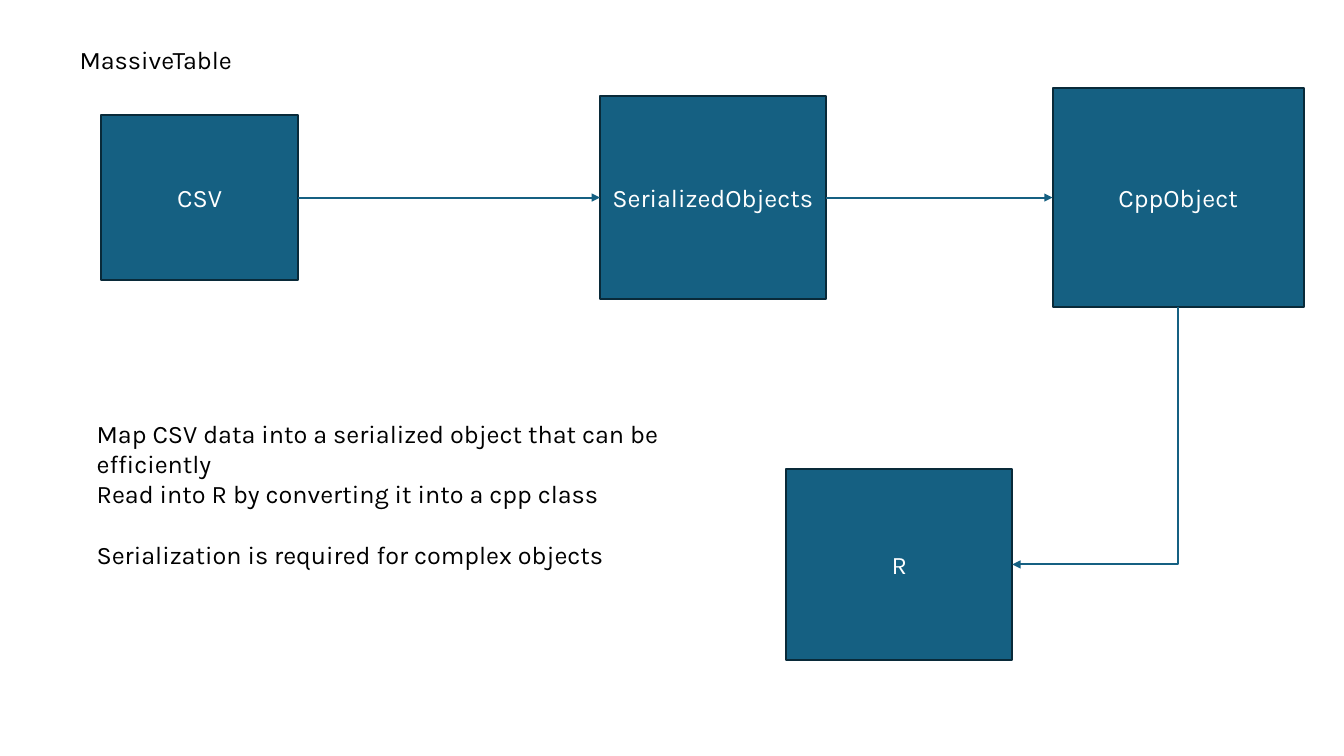
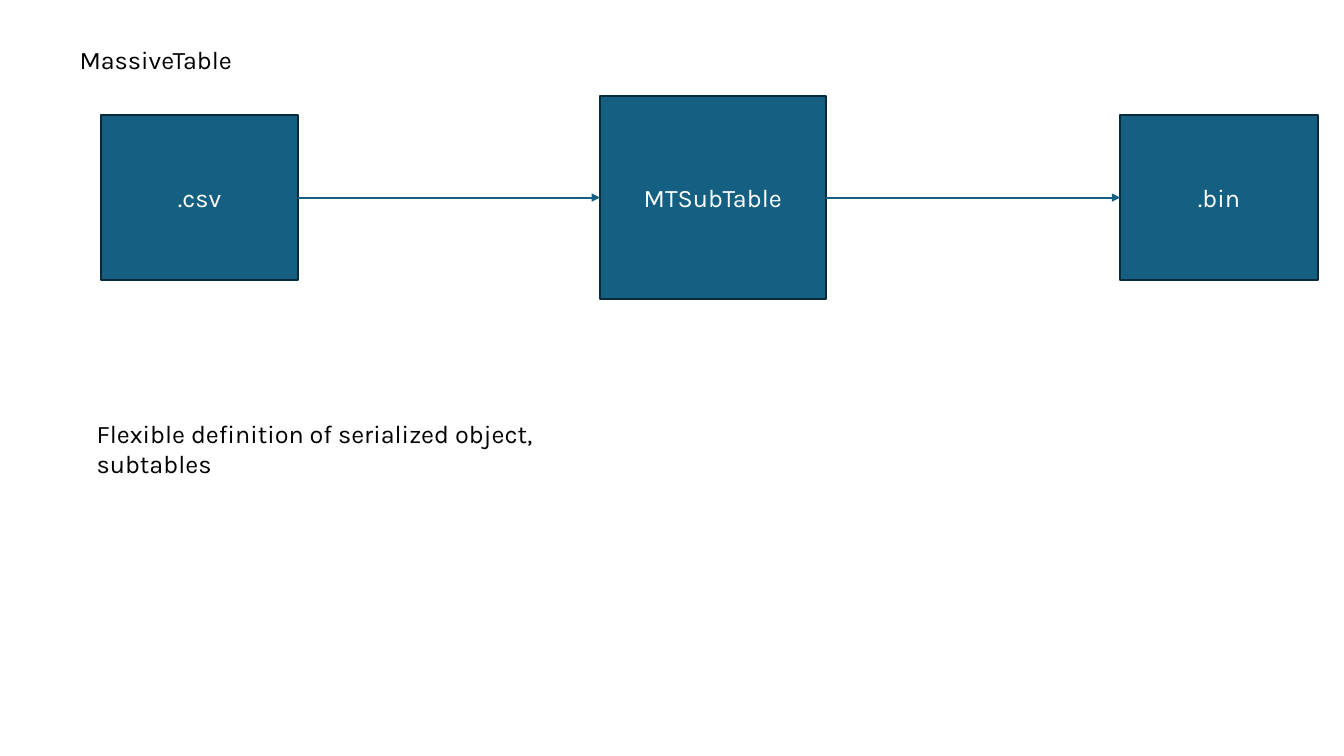
from pptx import Presentation
from pptx.dml.color import RGBColor
from pptx.enum.shapes import MSO_CONNECTOR as Connector, MSO_SHAPE as Preset
from pptx.enum.text import MSO_ANCHOR as Anchor, PP_ALIGN as Align
from pptx.oxml.ns import qn
from pptx.util import Inches, Pt
from lxml.etree import SubElement

BLUE = RGBColor(0x15, 0x60, 0x82)
OUTLINE = RGBColor(0x09, 0x2A, 0x39)
WHITE = RGBColor(0xFF, 0xFF, 0xFF)
BLACK = RGBColor(0x00, 0x00, 0x00)
FONT = "Karla"
LINE_WIDTH = Pt(1.5)
LINE_HEIGHT = Pt(21.6)

FLOW_Y = 1.96
RESULT_Y = 5.6
SMALL = (1.96, 1.63)
MEDIUM = (2.24, 2.01)
LARGE = (2.49, 2.17)
RESULT = (2.24, 1.89)
TOP, LEFT, BOTTOM, RIGHT = range(4)  # connection sites of a rectangle

# Boxes: text, left edge, vertical centre, size
# Arrows: from box, to box; an arrow that changes rows turns a corner
SLIDES = [
    {
        "boxes": [
            ("CSV", 1, FLOW_Y, SMALL),
            ("SerializedObjects", 5.95, FLOW_Y, MEDIUM),
            ("CppObject", 10.44, FLOW_Y, LARGE),
            ("R", 7.8, RESULT_Y, RESULT),
        ],
        "note": [
            "Map CSV data into a serialized object that can be efficiently",
            "Read into R by converting it into a cpp class",
            "Serialization is required for complex objects",
        ],
        "note_size": (6.61, 1.92),
    },
    {
        "boxes": [
            (".csv", 1, FLOW_Y, SMALL),
            ("MTSubTable", 5.95, FLOW_Y, MEDIUM),
            (".bin", 11.11, FLOW_Y, SMALL),
        ],
        "note": ["Flexible definition of serialized object, subtables"],
        "note_size": (5.42, 1.01),
    },
]


def write(shape, lines, color=BLACK, align=Align.LEFT, anchor=Anchor.TOP, last_gap=0):
    """Fill a shape with one paragraph per line; last_gap precedes the third."""
    frame = shape.text_frame
    frame.word_wrap = True
    frame.vertical_anchor = anchor
    frame.text = "\n".join(lines)
    for index, paragraph in enumerate(frame.paragraphs):
        paragraph.alignment = align
        paragraph.space_before = last_gap if index == 2 else 0
        paragraph.font.name = FONT
        paragraph.font.size = Pt(18)
        paragraph.font.color.rgb = color


def connect(slide, start, end):
    """Draw an arrow to the right, or down and then left to a lower box."""
    turns = end.left < start.left
    kind = Connector.ELBOW if turns else Connector.STRAIGHT
    arrow = slide.shapes.add_connector(kind, 0, 0, 0, 0)
    arrow.begin_connect(start, BOTTOM if turns else RIGHT)
    arrow.end_connect(end, RIGHT if turns else LEFT)
    properties = arrow.element.spPr
    if turns:
        # A one-corner connector runs right then down, so turn it by 90 degrees
        run, drop = arrow.width, arrow.height
        center_x, center_y = arrow.left + run // 2, arrow.top + drop // 2
        arrow.left, arrow.top = center_x - drop // 2, center_y - run // 2
        arrow.width, arrow.height = drop, run
        properties.find(qn("a:prstGeom")).set("prst", "bentConnector2")
        transform = properties.find(qn("a:xfrm"))
        transform.set("flipH", "0")
        transform.set("rot", "5400000")
    arrow.line.color.rgb = BLUE
    arrow.line.width = LINE_WIDTH
    SubElement(properties.find(qn("a:ln")), qn("a:tailEnd"), type="triangle")
    SubElement(properties, qn("a:effectLst"))


presentation = Presentation()
presentation.slide_width = Inches(13.33)
presentation.slide_height = Inches(7.5)

for content in SLIDES:
    slide = presentation.slides.add_slide(presentation.slide_layouts[6])

    title = slide.shapes.add_textbox(Inches(0.69), Inches(0.39), Inches(11.89), Inches(0.4))
    write(title, ["MassiveTable"])

    boxes = []
    for text, left, center, (width, height) in content["boxes"]:
        box = slide.shapes.add_shape(
            Preset.RECTANGLE, Inches(left), Inches(center - height / 2),
            Inches(width), Inches(height))
        box.shadow.inherit = False
        box.fill.solid()
        box.fill.fore_color.rgb = BLUE
        box.line.color.rgb = OUTLINE
        box.line.width = LINE_WIDTH
        write(box, [text], color=WHITE, align=Align.CENTER, anchor=Anchor.MIDDLE)
        boxes.append(box)

    for start, end in zip(boxes, boxes[1:]):
        connect(slide, start, end)

    width, height = content["note_size"]
    note = slide.shapes.add_textbox(Inches(0.86), Inches(4.1), Inches(width), Inches(height))
    write(note, content["note"], last_gap=LINE_HEIGHT)

presentation.save("out.pptx")
